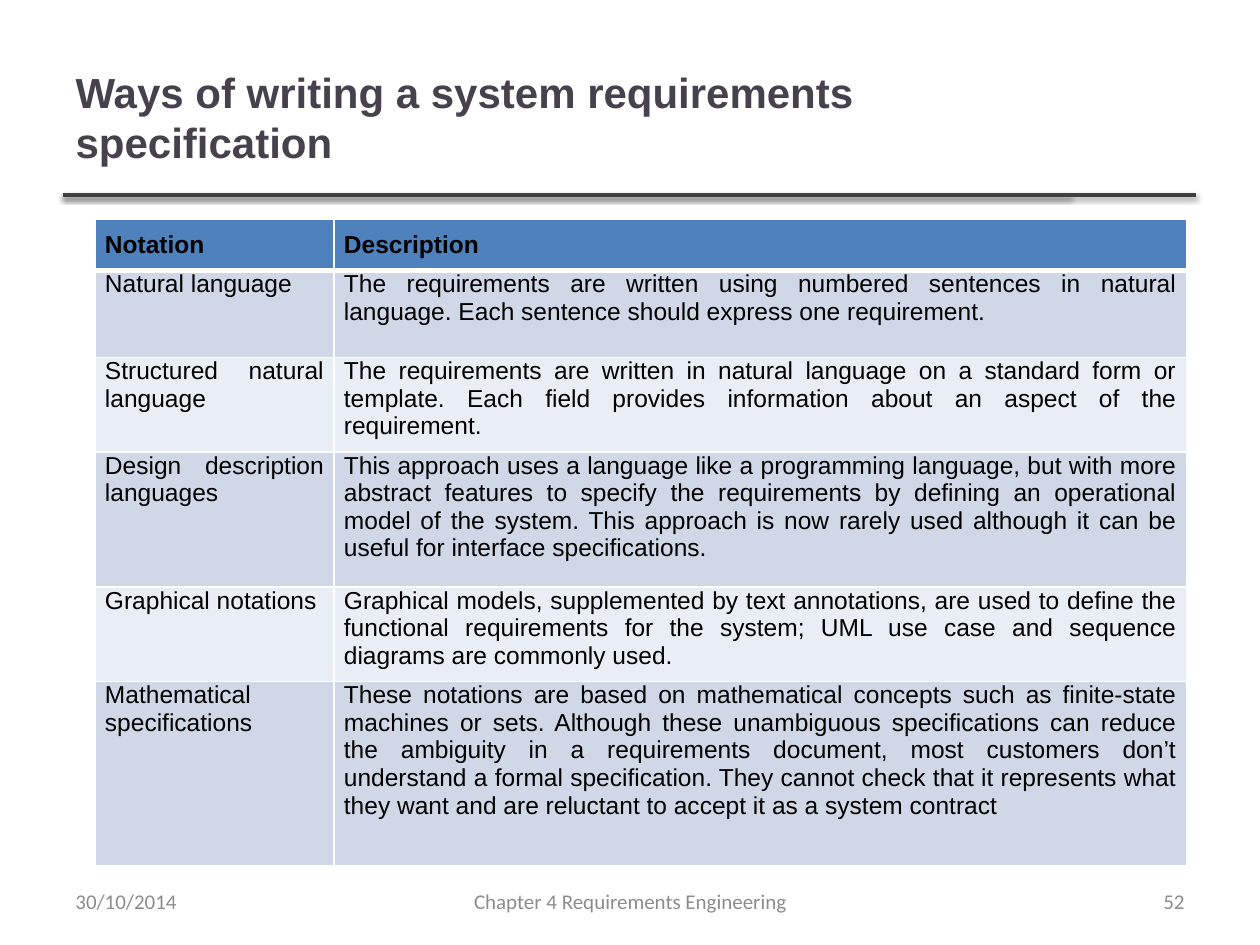
"""Build the slide on ways of writing a system requirements specification."""
from lxml import etree
from pptx import Presentation
from pptx import util as u
from pptx.dml.color import RGBColor
from pptx.enum import shapes, text
from pptx.oxml import parse_xml
from pptx.oxml.ns import nsdecls, qn

TITLE = "Ways of writing a system requirements specification"
ROWS = [
    ("Notation", "Description"),
    ("Natural language",
     "The requirements are written using numbered sentences in natural language. "
     "Each sentence should express one requirement."),
    ("Structured natural language",
     "The requirements are written in natural language on a standard form or template. "
     "Each field provides information about an aspect of the requirement."),
    ("Design description languages",
     "This approach uses a language like a programming language, but with more abstract "
     "features to specify the requirements by defining an operational model of the system. "
     "This approach is now rarely used although it can be useful for interface "
     "specifications."),
    ("Graphical notations",
     "Graphical models, supplemented by text annotations, are used to define the functional "
     "requirements for the system; UML use case and sequence diagrams are commonly used."),
    ("Mathematical specifications",
     "These notations are based on mathematical concepts such as finite-state machines or "
     "sets. Although these unambiguous specifications can reduce the ambiguity in a "
     "requirements document, most customers don’t understand a formal specification. They "
     "cannot check that it represents what they want and are reluctant to accept it as a "
     "system contract"),
]
ROW_HEIGHTS = [50, 87, 87, 135, 87, 184]
COLUMN_WIDTHS = [239, 853]
TABLE_LEFT, TABLE_TOP = 95, 219
LEFT, RULE_TOP, RULE_ENDS = 63, 195, [1070, 1196]
FOOTER_TOP, FOOTER_HEIGHT = 876, 50
ALIGN = text.PP_ALIGN
FOOTERS = [
    ("30/10/2014", LEFT, 294, ALIGN.LEFT),
    ("Chapter 4 Requirements Engineering", 431, 399, ALIGN.CENTER),
    ("52", 903, 294, ALIGN.RIGHT),
]
COLORS = {"title": "46424D", "rule": "404040", "footer": "8C8C8C", "text": "000000",
          "header": "4F81BD", "odd": "D0D8E8", "even": "E9EDF4", "border": "FFFFFF"}


def px(value):
    return u.Emu(round(value * 914400 / 126))


def color(name):
    return RGBColor.from_string(COLORS[name])


def write(frame, words, size, ink, font="Arial", bold=False, align=ALIGN.LEFT):
    frame.word_wrap = True
    paragraph = frame.paragraphs[0]
    paragraph.text = words
    paragraph.alignment = align
    paragraph.font.size = u.Pt(size)
    paragraph.font.name = font
    paragraph.font.bold = bold
    paragraph.font.color.rgb = color(ink)


def add_rule(slide, end):
    rule = slide.shapes.add_connector(
        shapes.MSO_CONNECTOR.STRAIGHT, px(LEFT), px(RULE_TOP), px(end), px(RULE_TOP))
    rule.line.color.rgb = color("rule")
    rule.line.width = u.Pt(2)
    rule._element.spPr.append(parse_xml(
        f'<a:effectLst {nsdecls("a")}><a:outerShdw blurRad="40000" dist="20000" '
        'dir="5400000" rotWithShape="0"><a:srgbClr val="000000"><a:alpha val="38000"/>'
        '</a:srgbClr></a:outerShdw></a:effectLst>'))


def add_borders(cell, widths):
    properties = cell._tc.get_or_add_tcPr()
    for side, width in widths.items():
        line = etree.SubElement(properties, qn(f"a:ln{side}"), w=str(u.Pt(width)))
        fill = etree.SubElement(line, qn("a:solidFill"))
        etree.SubElement(fill, qn("a:srgbClr"), val=COLORS["border"])


def add_table(slide):
    table = slide.shapes.add_table(
        len(ROWS), len(COLUMN_WIDTHS), px(TABLE_LEFT), px(TABLE_TOP),
        px(sum(COLUMN_WIDTHS)), px(sum(ROW_HEIGHTS))).table
    for column, width in zip(table.columns, COLUMN_WIDTHS):
        column.width = px(width)
    for i, (row, height) in enumerate(zip(table.rows, ROW_HEIGHTS)):
        row.height = px(height)
        header = i == 0
        for j, cell in enumerate(row.cells):
            cell.margin_left = cell.margin_right = px(10)
            cell.margin_top = px(12 if header else 0)
            cell.margin_bottom = px(12)
            write(cell.text_frame, ROWS[i][j], 14, "text", bold=header,
                  align=ALIGN.LEFT if header and j == 0 else ALIGN.JUSTIFY)
            add_borders(cell, {"L": 1, "R": 1, "T": 3 if i == 1 else 1,
                               "B": 3 if header else 1})
            cell.fill.solid()
            cell.fill.fore_color.rgb = color(
                "header" if header else "odd" if i % 2 else "even")


def main():
    presentation = Presentation()
    presentation.slide_width, presentation.slide_height = px(1260), px(945)
    slide = presentation.slides.add_slide(presentation.slide_layouts[5])
    for end in RULE_ENDS:
        add_rule(slide, end)

    title = slide.shapes.title
    title.left, title.top, title.width, title.height = px(LEFT), px(38), px(1005), px(157)
    title.text_frame.auto_size = text.MSO_AUTO_SIZE.NONE
    title.text_frame.vertical_anchor = text.MSO_ANCHOR.MIDDLE
    write(title.text_frame, TITLE, 24, "title", bold=True)

    add_table(slide)
    for words, left, width, align in FOOTERS:
        box = slide.shapes.add_textbox(px(left), px(FOOTER_TOP), px(width), px(FOOTER_HEIGHT))
        box.text_frame.vertical_anchor = text.MSO_ANCHOR.MIDDLE
        write(box.text_frame, words, 12, "footer", font="Calibri", align=align)
    presentation.save("out.pptx")


if __name__ == "__main__":
    main()
